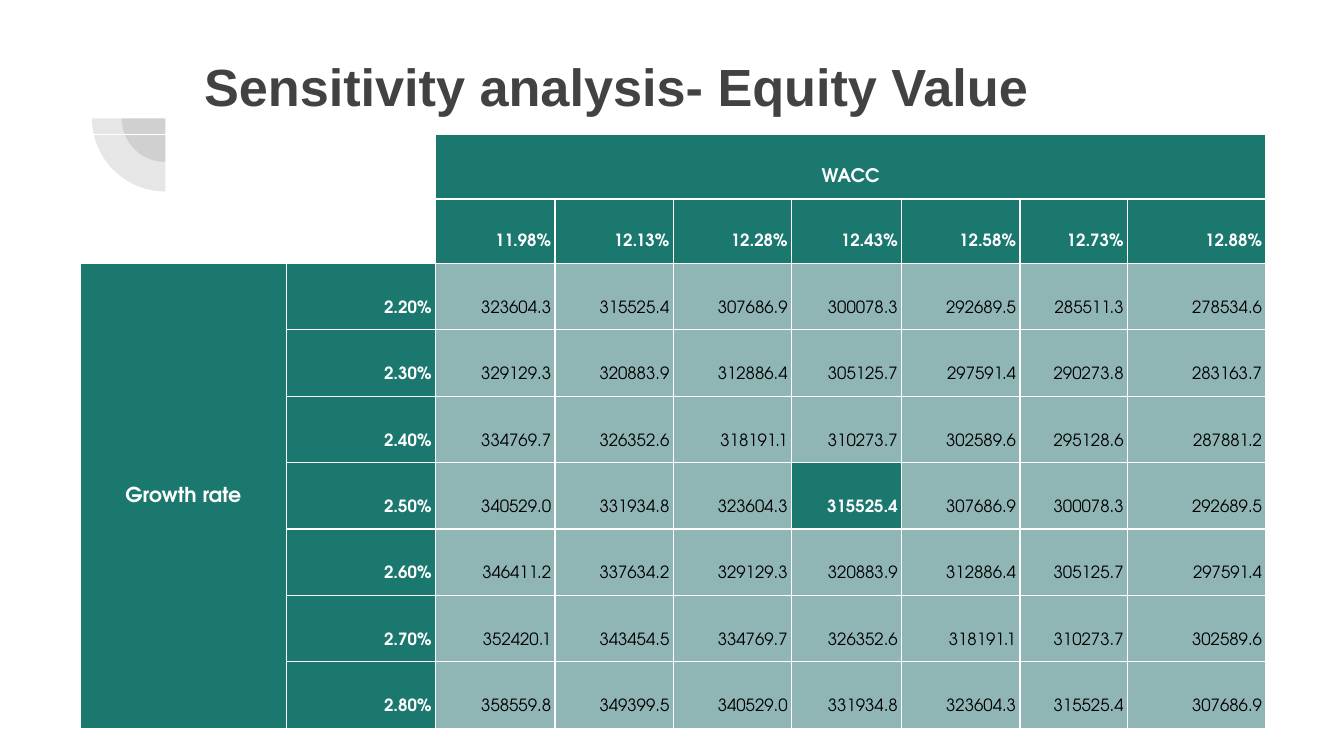
from lxml import etree
from pptx import Presentation
from pptx.dml.color import RGBColor
from pptx.enum.shapes import MSO_SHAPE
from pptx.enum.text import MSO_ANCHOR as Anchor, PP_ALIGN as Align
from pptx.oxml.ns import qn
from pptx.util import Inches, Pt

TITLE = "Sensitivity analysis- Equity Value"
COLUMN_TITLE = "WACC"
ROW_TITLE = "Growth rate"
WACC_RATES = ["11.98%", "12.13%", "12.28%", "12.43%", "12.58%", "12.73%", "12.88%"]
EQUITY_VALUES = {
    "2.20%": [323604.3, 315525.4, 307686.9, 300078.3, 292689.5, 285511.3, 278534.6],
    "2.30%": [329129.3, 320883.9, 312886.4, 305125.7, 297591.4, 290273.8, 283163.7],
    "2.40%": [334769.7, 326352.6, 318191.1, 310273.7, 302589.6, 295128.6, 287881.2],
    "2.50%": [340529.0, 331934.8, 323604.3, 315525.4, 307686.9, 300078.3, 292689.5],
    "2.60%": [346411.2, 337634.2, 329129.3, 320883.9, 312886.4, 305125.7, 297591.4],
    "2.70%": [352420.1, 343454.5, 334769.7, 326352.6, 318191.1, 310273.7, 302589.6],
    "2.80%": [358559.8, 349399.5, 340529.0, 331934.8, 323604.3, 315525.4, 307686.9],
}
BASE_CASE = ("2.50%", "12.43%")

COLORS = {"ink": "424242", "header": "1B786E", "body": "90B5B5", "white": "FFFFFF", "black": "000000"}
TITLE_FONT, TABLE_FONT = "Arial", "TeX Gyre Adventor"
SLIDE_WIDTH = 10
SLIDE_HEIGHT = SLIDE_WIDTH * 9 / 16
COLUMN_WIDTHS = [1.53, 1.11, 0.89, 0.88, 0.88, 0.82, 0.88, 0.8, 1.03]
HEADER_ROWS, HEADER_COLUMNS = 2, 2
HEADER_HEIGHT, BODY_HEIGHT = 0.96, 3.46
ROW_HEIGHTS = [HEADER_HEIGHT / HEADER_ROWS] * HEADER_ROWS
ROW_HEIGHTS += [BODY_HEIGHT / len(EQUITY_VALUES)] * len(EQUITY_VALUES)
TABLE_LEFT, TABLE_TOP = 0.6, 1
ARC_CENTER = (1.23, 0.88)
ARC_DIAMETERS = [0.65, 1.09]


def rgb(name):
    return RGBColor.from_string(COLORS[name])


def write(frame, text, font=TABLE_FONT, size=9, color="white", bold=True, align=Align.RIGHT, spacing=1.15):
    paragraph = frame.paragraphs[0]
    paragraph.alignment = align
    paragraph.line_spacing = spacing
    run = paragraph.add_run()
    run.text = text
    run.font.name = font
    run.font.size = Pt(size)
    run.font.bold = bold
    run.font.color.rgb = rgb(color)


def add_arc(slide, diameter):
    left, top = (Inches(center - diameter / 2) for center in ARC_CENTER)
    shape = slide.shapes.add_shape(MSO_SHAPE.PIE, left, top, Inches(diameter), Inches(diameter))
    shape.adjustments[0], shape.adjustments[1] = 108, 162
    shape.rotation = 270
    shape.shadow.inherit = False
    shape.line.fill.background()
    shape.fill.solid()
    shape.fill.fore_color.rgb = rgb("ink")
    color = shape.fill._xPr.find(".//" + qn("a:srgbClr"))
    etree.SubElement(color, qn("a:alpha"), val="13000")


def add_borders(cell):
    properties = cell._tc.get_or_add_tcPr()
    for position, side in enumerate(("lnL", "lnR", "lnT", "lnB")):
        line = etree.Element(qn("a:" + side), w=str(int(Pt(0.75))))
        fill = etree.SubElement(line, qn("a:solidFill"))
        etree.SubElement(fill, qn("a:srgbClr"), val=COLORS["white"])
        properties.insert(position, line)


def fill_cell(cell, text, fill="header", anchor=Anchor.BOTTOM, **text_format):
    cell.margin_left = cell.margin_right = Inches(0.03)
    cell.margin_top = cell.margin_bottom = Inches(0.1)
    cell.vertical_anchor = anchor
    cell.fill.solid()
    cell.fill.fore_color.rgb = rgb(fill)
    write(cell.text_frame, text, **text_format)


def add_sensitivity_table(slide):
    frame = slide.shapes.add_table(
        len(ROW_HEIGHTS), len(COLUMN_WIDTHS), Inches(TABLE_LEFT), Inches(TABLE_TOP),
        Inches(sum(COLUMN_WIDTHS)), Inches(sum(ROW_HEIGHTS)))
    table = frame.table
    table.first_row = table.horz_banding = False
    for column, width in zip(table.columns, COLUMN_WIDTHS):
        column.width = Inches(width)
    for row, height in zip(table.rows, ROW_HEIGHTS):
        row.height = Inches(height)
    for cell in table.iter_cells():
        cell.fill.background()
        add_borders(cell)

    last_row, last_column = len(ROW_HEIGHTS) - 1, len(COLUMN_WIDTHS) - 1
    wacc_cell = table.cell(0, HEADER_COLUMNS)
    wacc_cell.merge(table.cell(0, last_column))
    fill_cell(wacc_cell, COLUMN_TITLE, size=10, align=Align.CENTER)
    growth_cell = table.cell(HEADER_ROWS, 0)
    growth_cell.merge(table.cell(last_row, 0))
    fill_cell(growth_cell, ROW_TITLE, anchor=Anchor.MIDDLE, size=11, align=Align.CENTER)

    for column, wacc in enumerate(WACC_RATES, HEADER_COLUMNS):
        fill_cell(table.cell(1, column), wacc)
    for row, (growth, values) in enumerate(EQUITY_VALUES.items(), HEADER_ROWS):
        fill_cell(table.cell(row, 1), growth)
        for column, (wacc, value) in enumerate(zip(WACC_RATES, values), HEADER_COLUMNS):
            cell = table.cell(row, column)
            if (growth, wacc) == BASE_CASE:
                fill_cell(cell, f"{value:.1f}")
            else:
                fill_cell(cell, f"{value:.1f}", fill="body", color="black", bold=False)


def add_title(slide):
    frame = slide.shapes.add_textbox(Inches(1.42), Inches(0.3), Inches(7.69), Inches(1.09)).text_frame
    frame.word_wrap = True
    frame.vertical_anchor = Anchor.TOP
    frame.margin_left = frame.margin_right = Inches(0.1)
    frame.margin_top = frame.margin_bottom = Inches(0.1)
    write(frame, TITLE, font=TITLE_FONT, size=28, color="ink", align=Align.LEFT, spacing=1.0)


def main():
    presentation = Presentation()
    presentation.slide_width = Inches(SLIDE_WIDTH)
    presentation.slide_height = Inches(SLIDE_HEIGHT)
    slide = presentation.slides.add_slide(presentation.slide_layouts[6])
    for diameter in ARC_DIAMETERS:
        add_arc(slide, diameter)
    add_title(slide)
    add_sensitivity_table(slide)
    presentation.save("out.pptx")


if __name__ == "__main__":
    main()
